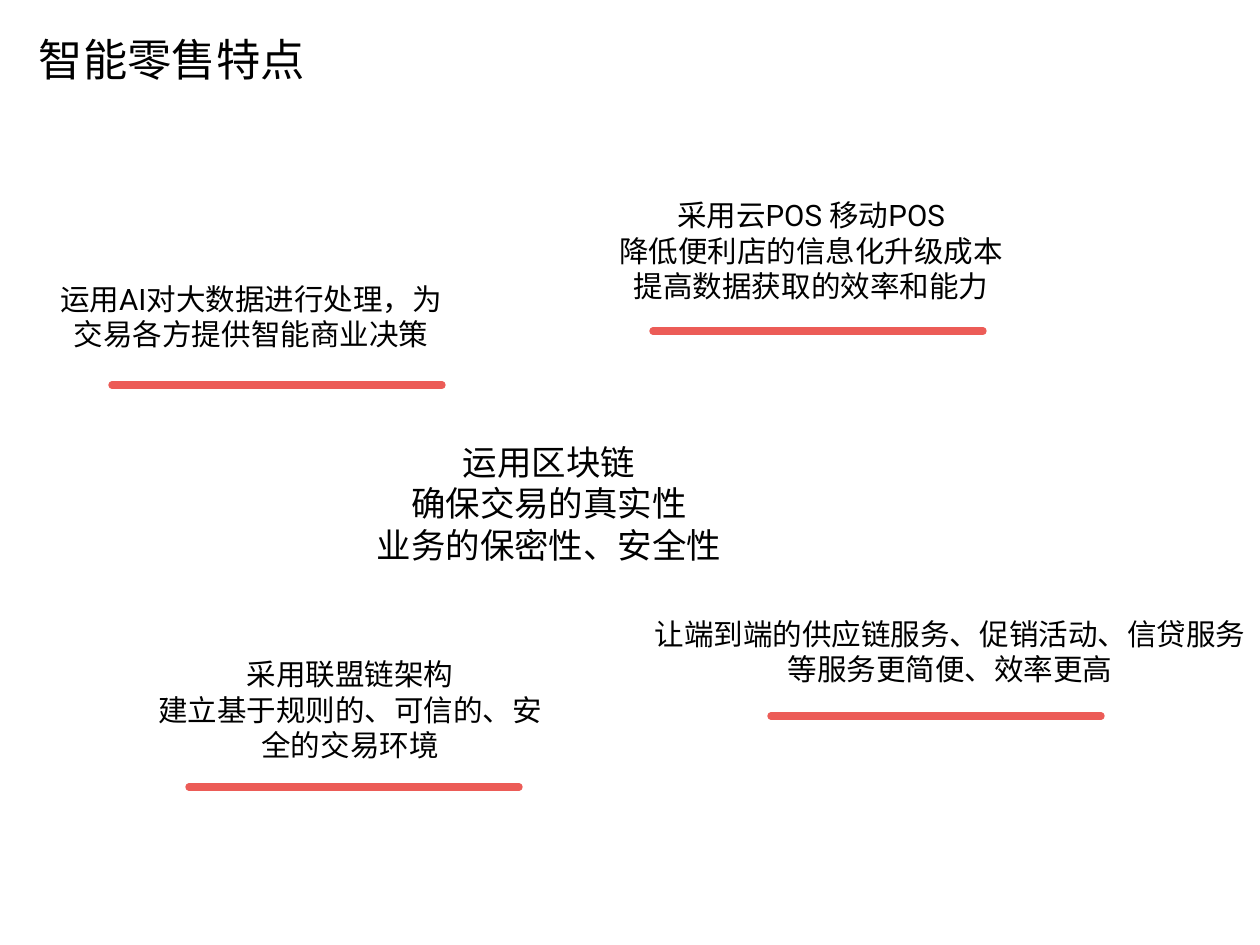
from lxml import etree
from pptx import Presentation
from pptx.dml.color import RGBColor
from pptx.enum.shapes import MSO_CONNECTOR
from pptx.enum.text import MSO_ANCHOR, MSO_AUTO_SIZE, PP_ALIGN
from pptx.oxml.ns import qn
from pptx.util import Pt

PX = 10320
STRAIGHT = MSO_CONNECTOR.STRAIGHT
LEFT, CENTER = PP_ALIGN.LEFT, PP_ALIGN.CENTER
TOP, MIDDLE = MSO_ANCHOR.TOP, MSO_ANCHOR.MIDDLE
NO_AUTOFIT = MSO_AUTO_SIZE.NONE

COLORS = {"text": "000000", "rule": "EC5C57", "background": "FFFFFF"}
LATIN_FONT, CHINESE_FONT = "Roboto", "Noto Sans CJK SC"
RULE_LENGTH = 330

TITLE = "智能零售特点"
TITLE_BOX = (34, 27, 341, 64)

FEATURES = [
    {"lines": ["运用AI对大数据进行处理，为交易各方提供智能商业决策"],
     "box": (39, 277, 424, 81), "rule": (112, 385)},
    {"lines": ["采用联盟链架构", "建立基于规则的、可信的、安全的交易环境"],
     "box": (138, 652, 424, 152), "rule": (189, 787)},
    {"lines": ["采用云POS 移动POS", "降低便利店的信息化升级成本提高数据获取的效率和能力"],
     "box": (599, 193, 424, 152), "rule": (653, 331)},
    {"lines": ["运用区块链", "确保交易的真实性", "业务的保密性、安全性"],
     "box": (234, 437, 630, 134), "size": 28, "font": CHINESE_FONT},
    {"lines": ["让端到端的供应链服务、促销活动、信贷服务等服务更简便、效率更高"],
     "box": (635, 612, 630, 81), "rule": (771, 716)},
]


def emu(*lengths):
    return [length * PX for length in lengths]


def write_text(shape, lines, size=24, font=LATIN_FONT, align=CENTER, anchor=TOP, inset=(9, 4)):
    frame = shape.text_frame
    frame.word_wrap = True
    frame.auto_size = NO_AUTOFIT
    frame.vertical_anchor = anchor
    frame.margin_left = frame.margin_right = inset[0] * PX
    frame.margin_top = frame.margin_bottom = inset[1] * PX
    for index, line in enumerate(lines):
        paragraph = frame.add_paragraph() if index else frame.paragraphs[0]
        paragraph.alignment = align
        run = paragraph.add_run()
        run.text = line
        run.font.size = Pt(size)
        run.font.color.rgb = RGBColor.from_string(COLORS["text"])
        run.font.name = font
        east_asian = etree.Element(qn("a:ea"), typeface=CHINESE_FONT)
        run.font._element.find(qn("a:latin")).addnext(east_asian)


def add_rule(slide, left, top):
    rule = slide.shapes.add_connector(STRAIGHT, *emu(left, top, left + RULE_LENGTH, top))
    rule.line.color.rgb = RGBColor.from_string(COLORS["rule"])
    rule.line.width = Pt(6)
    rule.line._get_or_add_ln().set("cap", "rnd")
    etree.SubElement(rule._element.spPr, qn("a:effectLst"))


def main():
    presentation = Presentation()
    presentation.slide_width, presentation.slide_height = emu(1260, 945)
    slide = presentation.slides.add_slide(presentation.slide_layouts[5])
    slide.background.fill.solid()
    slide.background.fill.fore_color.rgb = RGBColor.from_string(COLORS["background"])

    title = slide.shapes.title
    title.left, title.top, title.width, title.height = emu(*TITLE_BOX)
    write_text(title, [TITLE], size=36, align=LEFT, anchor=MIDDLE, inset=(5, 5))

    for feature in FEATURES:
        box = slide.shapes.add_textbox(*emu(*feature["box"]))
        write_text(box, feature["lines"], size=feature.get("size", 24),
                   font=feature.get("font", LATIN_FONT))
        if "rule" in feature:
            add_rule(slide, *feature["rule"])

    presentation.save("out.pptx")


if __name__ == "__main__":
    main()
